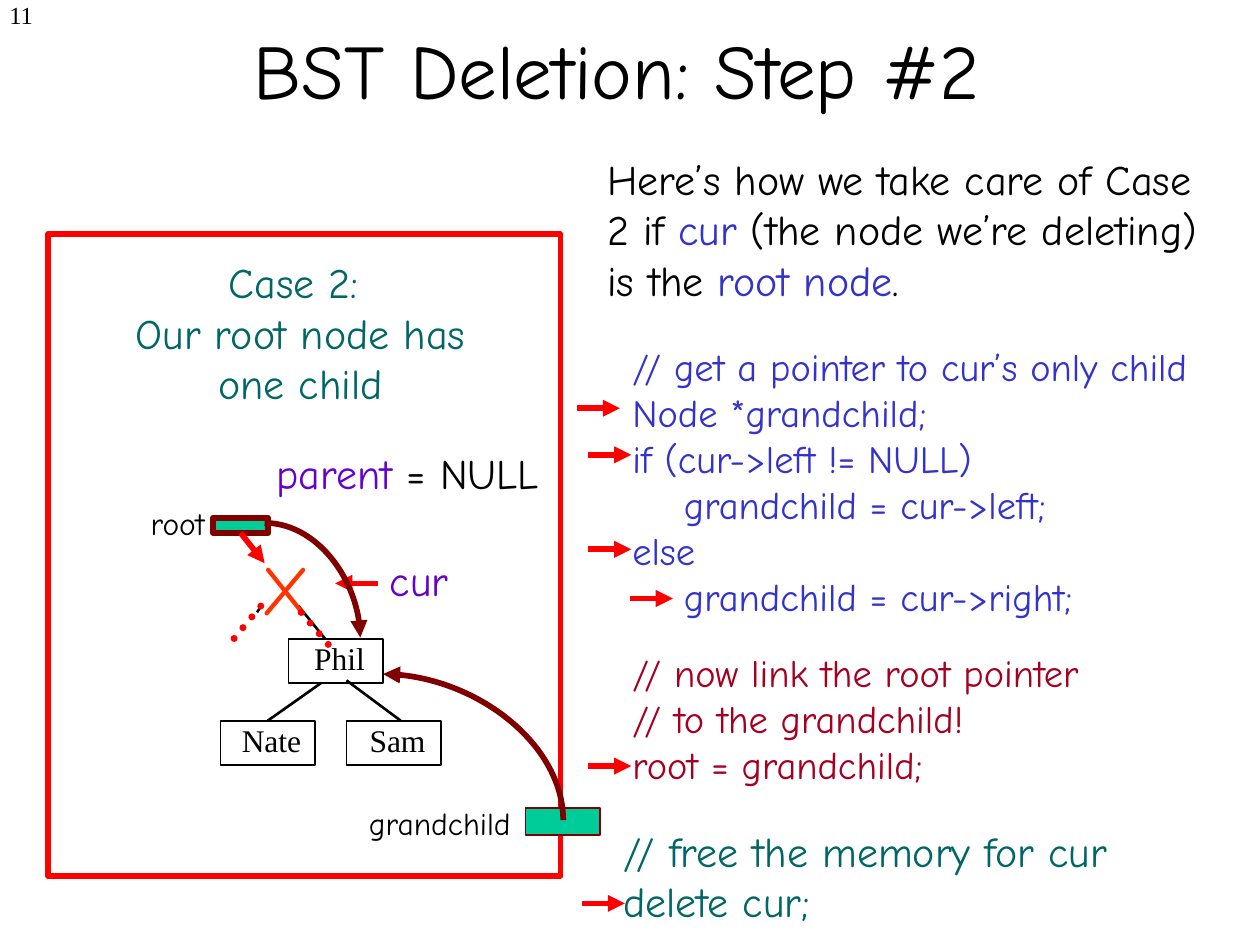
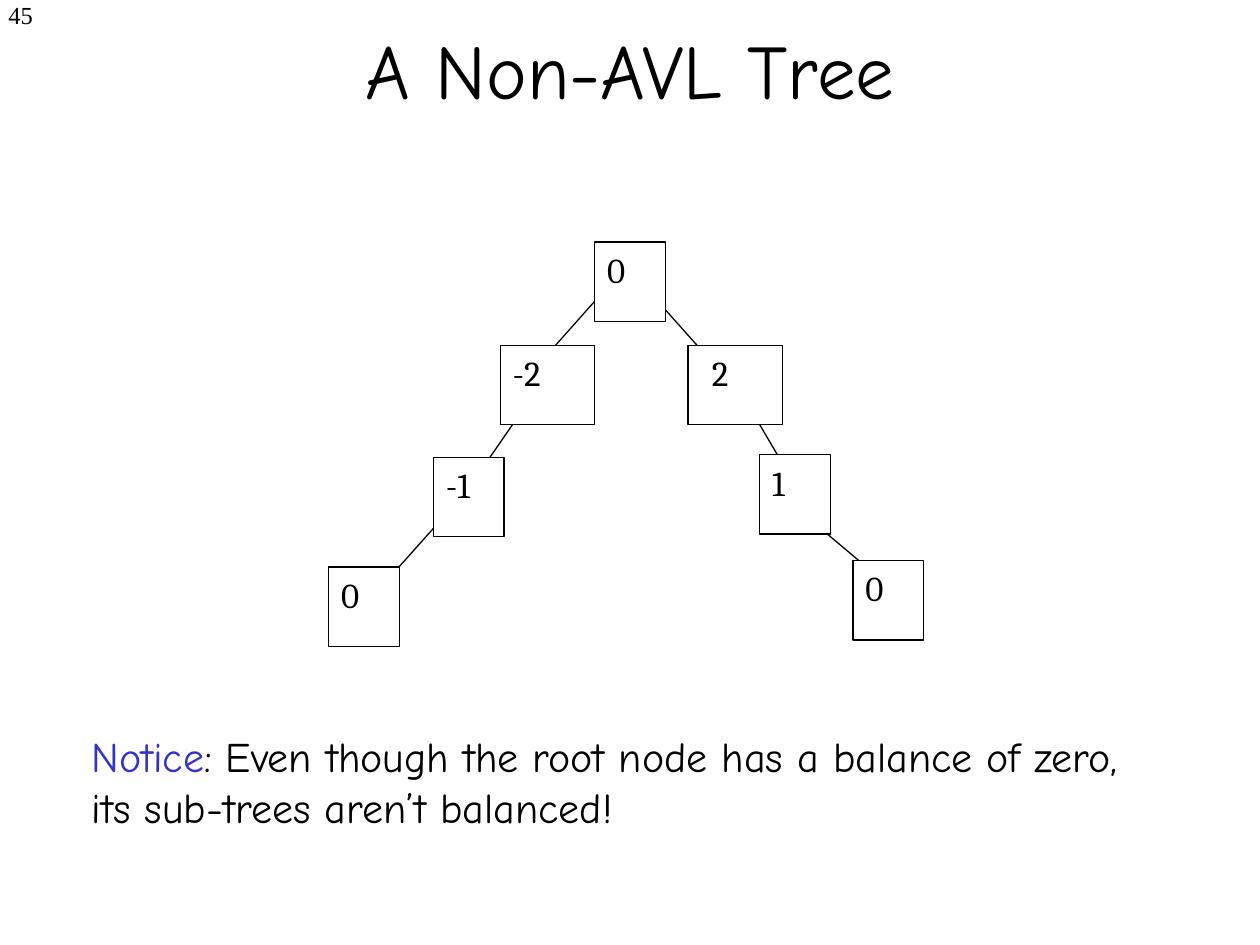
"""Build two slides on deleting from and balancing binary search trees."""
from dataclasses import dataclass

from lxml import etree
from pptx import Presentation
from pptx.dml.color import RGBColor
from pptx.enum.dml import MSO_LINE
from pptx.enum.shapes import MSO_CONNECTOR, MSO_SHAPE
from pptx.enum.text import MSO_ANCHOR, MSO_AUTO_SIZE, PP_ALIGN
from pptx.oxml.ns import qn
from pptx.util import Inches, Pt

LEFT, CENTER, RIGHT = PP_ALIGN.LEFT, PP_ALIGN.CENTER, PP_ALIGN.RIGHT
TOP, MIDDLE = MSO_ANCHOR.TOP, MSO_ANCHOR.MIDDLE
GROW = MSO_AUTO_SIZE.SHAPE_TO_FIT_TEXT
STRAIGHT, CURVE = MSO_CONNECTOR.STRAIGHT, MSO_CONNECTOR.CURVE
RECTANGLE, DOTTED = MSO_SHAPE.RECTANGLE, MSO_LINE.ROUND_DOT
COLUMNS, ROWS = 100, 75
TITLE_ONLY = 5
SITE_TOP, SITE_BOTTOM = 0, 2


@dataclass(frozen=True)
class Theme:
    """Colours, fonts, type sizes and line widths of the deck."""
    black: str = "000000"
    white: str = "FFFFFF"
    red: str = "FF0000"
    orange: str = "FF3300"
    maroon: str = "800000"
    crimson: str = "A50021"
    blue: str = "3333CC"
    purple: str = "6600CC"
    teal: str = "006666"
    green: str = "00CC99"
    hand: str = "Comic Neue"
    serif: str = "Times New Roman"
    balance: str = "Cambria"
    title_size: int = 44
    cross_size: int = 40
    body_size: int = 24
    code_size: int = 22
    balance_size: int = 20
    label_size: int = 18
    number_size: int = 14
    hairline: float = 0.75
    outline: float = 1
    branch: float = 1.5
    bold_line: float = 3.25
    dots: float = 4


def set_values(target, values):
    """Set each named attribute of the target."""
    for name, value in values.items():
        setattr(target, name, value)


class Deck:
    """Draw styled elements on the current slide of a grid."""

    def __init__(self, theme):
        """Open an empty presentation."""
        self.theme = theme
        self.presentation = Presentation()
        set_values(self.presentation, {"slide_width": Inches(10), "slide_height": Inches(7.5)})
        self.column = self.presentation.slide_width / COLUMNS
        self.row = self.presentation.slide_height / ROWS
        self.slide = None

    def place(self, *lengths):
        """Turn alternating columns and rows into slide lengths."""
        units = (self.column, self.row) * 2
        return [round(length * unit) for length, unit in zip(lengths, units)]

    def add_slide(self, title, number):
        """Start a slide with its title and number."""
        layout = self.presentation.slide_layouts[TITLE_ONLY]
        self.slide = self.presentation.slides.add_slide(layout)
        shape = self.slide.shapes.title
        box = self.place(7.5, -0.8, 85, 12.5)
        set_values(shape, dict(zip(("left", "top", "width", "height"), box)))
        self.fill_text(shape, [title], size=self.theme.title_size, align=CENTER, anchor=MIDDLE)
        self.text((0, 0, 3.6, 4), [number], size=self.theme.number_size,
                  font=self.theme.serif, align=RIGHT, insets={"left": 0, "top": 0})

    def fill_text(self, shape, paragraphs, size, font=None, color=None, align=LEFT,
                  anchor=TOP, insets=None, **frame_values):
        """Fill a shape with paragraphs of plain text or (text, colour) runs."""
        frame = shape.text_frame
        margins = {f"margin_{side}": round(inset * self.column)
                   for side, inset in (insets or {}).items()}
        set_values(frame, {"word_wrap": True, "vertical_anchor": anchor,
                           **margins, **frame_values})
        for index, content in enumerate(paragraphs):
            paragraph = frame.add_paragraph() if index else frame.paragraphs[0]
            paragraph.alignment = align
            runs = [(content, color)] if isinstance(content, str) else content
            for text, run_color in runs:
                run = paragraph.add_run()
                run.text = text
                set_values(run.font, {"size": Pt(size), "name": font or self.theme.hand})
                run.font.color.rgb = RGBColor.from_string(run_color or self.theme.black)
        return frame

    def text(self, box, paragraphs, **style):
        """Add a text box."""
        shape = self.slide.shapes.add_textbox(*self.place(*box))
        return self.fill_text(shape, paragraphs, **style)

    def label(self, box, paragraphs, **style):
        """Add a one-line text box that grows with its text."""
        return self.text(box, paragraphs, word_wrap=False, auto_size=GROW, **style)

    def code(self, box, lines, color, size, indented=()):
        """Add code lines, some of them indented."""
        frame = self.text(box, lines, size=size, color=color, auto_size=GROW)
        for index in indented:
            properties = frame.paragraphs[index]._p.get_or_add_pPr()
            properties.set("marL", str(round(4.1 * self.column)))

    def rectangle(self, box, fill=None, color=None, width=None):
        """Add a flat rectangle."""
        shape = self.slide.shapes.add_shape(RECTANGLE, *self.place(*box))
        shape.shadow.inherit = False
        if fill:
            shape.fill.solid()
            shape.fill.fore_color.rgb = RGBColor.from_string(fill)
        else:
            shape.fill.background()
        shape.line.color.rgb = RGBColor.from_string(color or self.theme.black)
        shape.line.width = Pt(width or self.theme.outline)
        return shape

    def line(self, start, end, color=None, width=None, kind=STRAIGHT, arrow=None,
             dotted=False, start_join=None, end_join=None):
        """Add a line, with an arrowhead at headEnd or tailEnd if asked."""
        connector = self.slide.shapes.add_connector(kind, *self.place(*start, *end))
        connector.line.color.rgb = RGBColor.from_string(color or self.theme.black)
        connector.line.width = Pt(width or self.theme.branch)
        properties = connector._element.spPr
        stroke = properties.find(qn("a:ln"))
        if dotted:
            connector.line.dash_style = DOTTED
            stroke.set("cap", "rnd")
        if kind == CURVE:
            properties.find(qn("a:prstGeom")).set("prst", "curvedConnector2")
        if arrow:
            etree.SubElement(stroke, qn(f"a:{arrow}"), type="triangle")
        etree.SubElement(properties, qn("a:effectLst"))
        if start_join:
            connector.begin_connect(*start_join)
        if end_join:
            connector.end_connect(*end_join)

    def arrow(self, start, end, **style):
        """Add a bold red arrow."""
        self.line(start, end, self.theme.red, self.theme.bold_line, arrow="tailEnd", **style)

    def name_node(self, left, top, name):
        """Add a tree node that shows a name."""
        shape = self.rectangle((left, top, 7.5, 3.5))
        self.fill_text(shape, [name], size=self.theme.label_size, font=self.theme.serif,
                       align=CENTER, anchor=MIDDLE, word_wrap=False,
                       insets={"left": 0.6, "right": 0, "top": 0, "bottom": 0.5})
        return shape

    def balance_node(self, left, top, width, balance, inset=1):
        """Add a tree node that shows its balance."""
        shape = self.rectangle((left, top, width, 6.3), self.theme.white,
                               width=self.theme.hairline)
        self.fill_text(shape, [balance], size=self.theme.balance_size,
                       font=self.theme.balance, insets={"left": inset})


def add_deletion_slide(deck):
    """Show how a root node with one child is deleted."""
    theme = deck.theme
    body, label, bold = theme.body_size, theme.label_size, theme.bold_line
    deck.add_slide("BST Deletion: Step #2 ", "11")
    deck.text((47.2, 11.7, 49.5, 13), [[
        ("Here’s how we take care of Case 2 if ", None), ("cur ", theme.blue),
        ("(the node we’re deleting) is the ", None), ("root node", theme.blue),
        (".", None)]], size=body, auto_size=GROW)
    deck.text((7.7, 19.9, 32.3, 13), ["Case 2: ", "Our root node has one child"],
              size=body, color=theme.teal, align=CENTER, auto_size=GROW)
    deck.rectangle((3.8, 18.6, 40.7, 50.9), color=theme.red, width=bold)

    deck.label((20, 35, 24.7, 5), [[("parent", theme.purple), (" = NULL", None)]],
               size=body, align=CENTER)
    deck.line((20.6, 48.3), (20.4, 48.6))
    deck.line((23.7, 48.1), (25.8, 50.7))
    deck.label((19.8, 42.8, 6, 7.7), ["X"], size=theme.cross_size, color=theme.orange)
    deck.name_node(22.9, 50.7, "Phil")
    nate = deck.name_node(17.5, 57.2, "Nate")
    deck.name_node(27.5, 57.2, "Sam")
    deck.line((25.5, 54.2), (21.2, 57.2), end_join=(nate, SITE_TOP))
    deck.line((27.5, 54), (31.8, 57.2))
    for start, end in (((20.7, 48.1), (17.9, 51.5)), ((23.9, 48.6), (26.1, 51.2))):
        deck.line(start, end, theme.red, theme.dots, dotted=True)

    deck.label((28.3, 63.3, 14.2, 4), ["grandchild"], size=label)
    deck.rectangle((41.7, 64.1, 5.9, 2.2), theme.green, theme.maroon)
    deck.label((10.6, 39.5, 7, 4), ["root"], size=label, align=CENTER)
    root = deck.rectangle((16.9, 41.1, 4.4, 1.2), theme.green, theme.maroon, bold)
    deck.arrow((19, 42.3), (21, 44.7), start_join=(root, SITE_BOTTOM))
    deck.arrow((30, 46.3), (26.6, 46.3))
    deck.label((29.7, 43.5, 7.1, 5), ["cur"], size=body, color=theme.purple, align=CENTER)
    for start, end, arrow in (((30.4, 53.5), (44.7, 65.1), "headEnd"),
                              ((21, 41.5), (28.6, 50.6), "tailEnd")):
        deck.line(start, end, theme.maroon, bold, CURVE, arrow)

    deck.code((49.2, 26.7, 50.5, 23), [
        "// get a pointer to cur’s only child", "Node *grandchild;",
        "if (cur->left != NULL)", "grandchild = cur->left;",
        "else", "grandchild = cur->right;"], theme.blue, theme.code_size, indented=(3, 5))
    deck.code((49.2, 51, 50.5, 12), [
        "// now link the root pointer", "// to the grandchild!",
        "root = grandchild;"], theme.crimson, theme.code_size)
    deck.code((48.5, 65, 50, 9), ["// free the memory for cur", "delete cur;"],
              theme.teal, body)
    for left, top in ((45.8, 32.4), (46.7, 36.1), (46.7, 43.6),
                      (50, 47.5), (46.7, 60.8), (46.2, 71.7)):
        deck.arrow((left, top), (left + 3.4, top))


def add_balance_slide(deck):
    """Show a tree whose root is balanced but whose sub-trees are not."""
    theme = deck.theme
    deck.add_slide("A Non-AVL Tree", "45")
    branches = (((49.7, 21.1), (44.1, 27.4)), ((42.2, 31.5), (37.5, 38.3)),
                ((34.7, 41.6), (27.2, 50)), ((49.7, 21.1), (57.1, 29.4)),
                ((59, 31.5), (62.7, 37.8)), ((62.7, 39.9), (70.2, 46.2)))
    for start, end in branches:
        deck.line(start, end, width=theme.hairline)
    nodes = ((47.2, 19.2, 5.6, "0"), (39.7, 27.4, 7.5, "-2"), (34.4, 36.3, 5.6, "-1"),
             (26.1, 45, 5.6, "0"), (60.3, 36.1, 5.6, "1"), (67.7, 44.5, 5.6, "0"),
             (54.6, 27.4, 7.5, "2", 1.9))
    for node in nodes:
        deck.balance_node(*node)
    deck.text((6.3, 57.5, 87.1, 9), [[
        ("Notice", theme.blue),
        (": Even though the root node has a balance of zero, "
         "its sub-trees aren’t balanced!", None)]], size=theme.body_size, auto_size=GROW)


def main():
    """Build and save the presentation."""
    deck = Deck(Theme())
    add_deletion_slide(deck)
    add_balance_slide(deck)
    deck.presentation.save("out.pptx")


if __name__ == "__main__":
    main()
